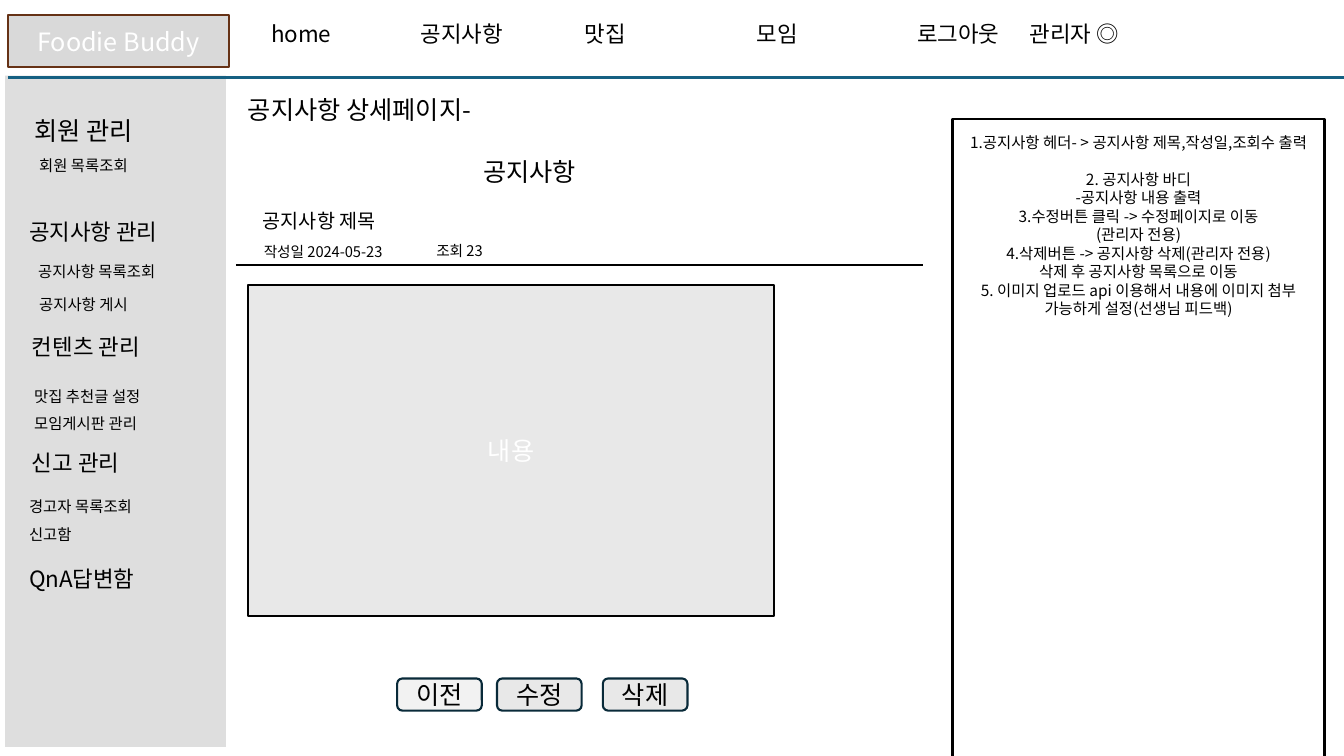
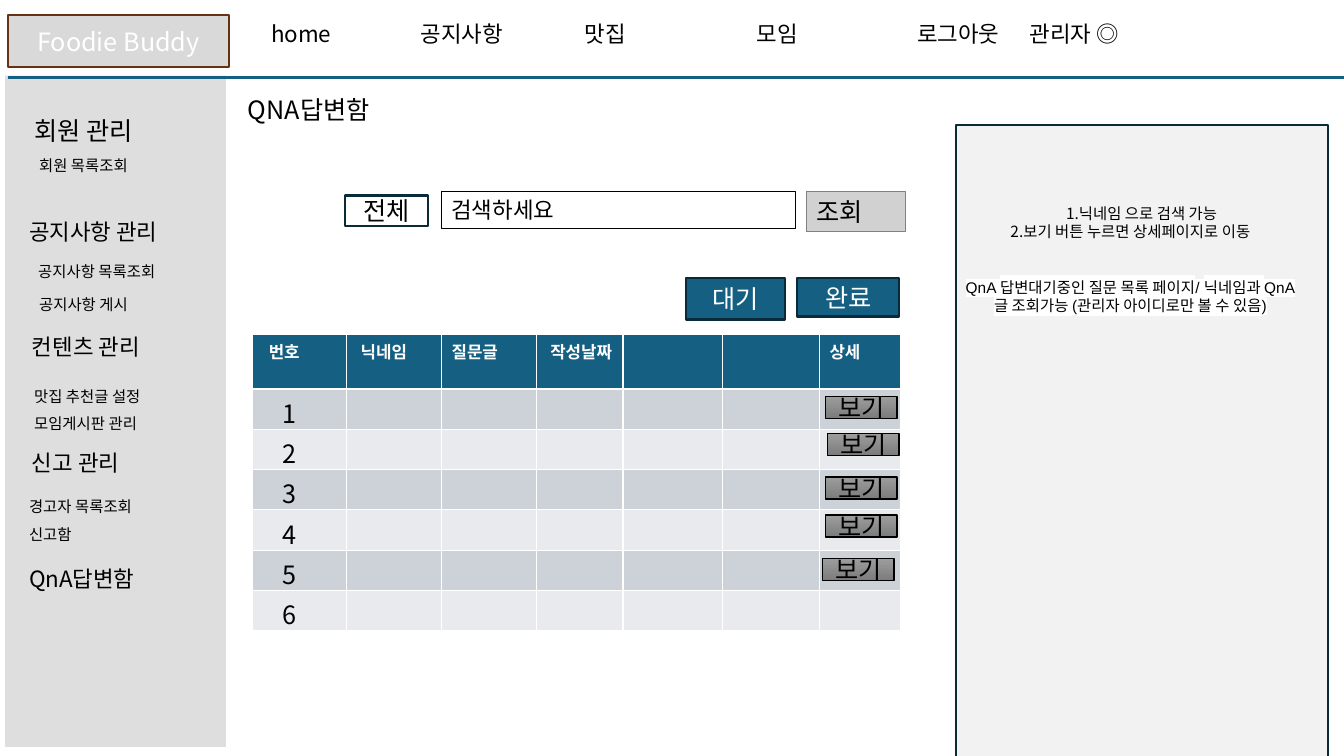
import pptx
import pptx.util
import pptx.dml.color
import pptx.enum.shapes
import pptx.enum.text
import pptx.oxml
import pptx.oxml.ns
import lxml.etree

Pt = pptx.util.Pt
RGBColor = pptx.dml.color.RGBColor
SHAPES = pptx.enum.shapes.MSO_SHAPE
ALIGN = pptx.enum.text.PP_ALIGN
ANCHOR = pptx.enum.text.MSO_ANCHOR
qn = pptx.oxml.ns.qn

FONT = "Noto Sans CJK KR"
BLACK = RGBColor(0x00, 0x00, 0x00)
WHITE = RGBColor(0xFF, 0xFF, 0xFF)
BLUE = RGBColor(0x15, 0x60, 0x82)
NAVY = RGBColor(0x09, 0x2A, 0x39)
BROWN = RGBColor(0x66, 0x32, 0x16)
SIDEBAR_GRAY = RGBColor(0xBF, 0xBF, 0xBF)
LOGO_GRAY = RGBColor(0xD9, 0xD9, 0xD9)
SEARCH_GRAY = RGBColor(0xD1, 0xD1, 0xD1)
BORDER_GRAY = RGBColor(0x80, 0x80, 0x80)
PALE_GRAY = RGBColor(0xF2, 0xF2, 0xF2)
LIGHT_GRAY = RGBColor(0xE8, 0xE8, 0xE8)
BAND_FILLS = (RGBColor(0xCC, 0xD2, 0xD8), RGBColor(0xE8, 0xEA, 0xED))
VIEW_GRADIENT = (RGBColor(0x9D, 0x9D, 0x9D), RGBColor(0x7C, 0x7C, 0x7C))

# left, text
NAVIGATION = [(186.5, "home"), (293.5, "공지사항"), (410.5, "맛집"),
              (533.5, "모임"), (648, "로그아웃"), (728.5, "관리자 ◎")]

# left, top, size, text
SIDEBAR = [
    (17.3, 78.5, 18, "회원 관리"),
    (20.9, 108, 11, "회원 목록조회"),
    (13.7, 152.6, 16, "공지사항 관리"),
    (20.2, 183.6, 11, "공지사항 목록조회"),
    (20.9, 207.4, 11, "공지사항 게시"),
    (15.8, 234.7, 16, "컨텐츠 관리"),
    (17.3, 272.9, 11, "맛집 추천글 설정"),
    (17.3, 292.3, 11, "모임게시판 관리"),
    (15.8, 317.5, 16, "신고 관리"),
    (13.7, 351.4, 11, "경고자 목록조회"),
    (13.7, 371.5, 11, "신고함"),
    (13.7, 400.3, 16, "QnA답변함"),
]

NOTICE_LABELS = [
    (338, 108, 18, "공지사항"),
    (180.7, 145.4, 14, "공지사항 제목"),
    (181.4, 169.9, 10.5, "작성일 2024-05-23"),
    (304.6, 169.2, 10.5, "조회 23"),
]
NOTICE_BUTTONS = [(283.7, PALE_GRAY, "이전"), (355, LIGHT_GRAY, "수정"),
                  (430.6, LIGHT_GRAY, "삭제")]
NOTICE_NOTES = [
    "1.공지사항 헤더- > 공지사항 제목,작성일,조회수 출력",
    "2. 공지사항 바디",
    "-공지사항 내용 출력",
    "3.수정버튼 클릭 -> 수정페이지로 이동",
    "(관리자 전용)",
    "4.삭제버튼 -> 공지사항 삭제(관리자 전용)",
    "삭제 후 공지사항 목록으로 이동",
    "5. 이미지 업로드 api 이용해서 내용에 이미지 첨부",
    "가능하게 설정(선생님 피드백)",
]

ANSWER_NOTES = ["1.닉네임 으로 검색 가능", "2.보기 버튼 누르면 상세페이지로 이동"]
ANSWER_SUMMARY = ("QnA 답변대기중인 질문 목록 페이지/ 닉네임과 QnA글 조회가능 "
                  "(관리자 아이디로만 볼 수 있음)")
# width, header, header indent
COLUMNS = [(67.7, "번호", 12), (67.7, "닉네임", 10), (67.7, "질문글", 7.2),
           (61.9, "작성날짜", 10), (71.3, "", 7.2), (69.1, "", 7.2),
           (58.3, "상세", 7.2)]
HEADER_HEIGHT, ROW_HEIGHT, ROW_COUNT = 38.9, 28.8, 6
VIEW_BUTTONS = [(589.7, 283), (591.1, 309.6), (589.7, 340.6), (589.7, 367.9),
                (587.5, 398.9)]


def write(frame, text, size=18, color=BLACK, bold=False, align=ALIGN.LEFT,
          anchor=ANCHOR.TOP, latin=FONT, highlight=None, before=0,
          right_indent=0, append=False):
    """Put one formatted paragraph in a text frame, after any text if append."""
    frame.word_wrap = True
    frame.vertical_anchor = anchor
    paragraph = frame.add_paragraph() if append else frame.paragraphs[0]
    paragraph.alignment = align
    paragraph.space_before = Pt(before)
    if right_indent:
        paragraph._p.get_or_add_pPr().set("marR", str(Pt(right_indent)))
    run = paragraph.add_run()
    run.text = text
    run.font.size = Pt(size)
    run.font.bold = bold
    run.font.color.rgb = color
    run.font.name = latin
    properties = run._r.get_or_add_rPr()
    east_asian = lxml.etree.Element(qn("a:ea"), typeface=FONT)
    properties.find(qn("a:latin")).addnext(east_asian)
    if highlight is not None:
        mark = lxml.etree.Element(qn("a:highlight"))
        lxml.etree.SubElement(mark, qn("a:srgbClr"), val=str(highlight))
        properties.find(qn("a:solidFill")).addnext(mark)


def add_label(slide, left, top, size, text, width=138):
    box = slide.shapes.add_textbox(Pt(left), Pt(top), Pt(width),
                                   Pt(1.2 * size + 7.2))
    write(box.text_frame, text, size=size)


def add_box(slide, left, top, width, height, fill=None, line=None,
            line_width=1.5, kind=SHAPES.RECTANGLE, text="", **text_format):
    shape = slide.shapes.add_shape(kind, Pt(left), Pt(top), Pt(width),
                                   Pt(height))
    shape.shadow.inherit = False
    if fill is None:
        shape.fill.background()
    else:
        shape.fill.solid()
        shape.fill.fore_color.rgb = fill
    if line is None:
        shape.line.fill.background()
    else:
        shape.line.color.rgb = line
        shape.line.width = Pt(line_width)
    if text:
        centred = {"align": ALIGN.CENTER, "anchor": ANCHOR.MIDDLE}
        write(shape.text_frame, text, **{**centred, **text_format})
    return shape


def add_rule(slide, left, right, top, color):
    rule = slide.shapes.add_connector(pptx.enum.shapes.MSO_CONNECTOR.STRAIGHT,
                                      Pt(left), Pt(top), Pt(right), Pt(top))
    rule.line.color.rgb = color
    rule.line.width = Pt(1.5)
    lxml.etree.SubElement(rule._element.spPr, qn("a:effectLst"))


def add_page(presentation, title):
    """Add a slide with the header, the sidebar and its title."""
    slide = presentation.slides.add_slide(presentation.slide_layouts[5])
    heading = slide.shapes.title
    heading.left, heading.top = Pt(169.9), Pt(63.4)
    heading.width, heading.height = Pt(244.8), Pt(28.8)
    write(heading.text_frame, title)
    for left, text in NAVIGATION:
        add_label(slide, left, 10.8, 16, text, width=110)
    add_box(slide, 5.8, 10.8, 157.7, 37.4, LOGO_GRAY, BROWN,
            text="Foodie Buddy", color=WHITE)
    sidebar = add_box(slide, 3.6, 54, 157.7, 479.5, SIDEBAR_GRAY)
    fill_color = sidebar._element.spPr.find(qn("a:solidFill"))[0]
    lxml.etree.SubElement(fill_color, qn("a:alpha"), val="50000")
    add_rule(slide, 5.8, 960, 55.4, BLUE)
    for label in SIDEBAR:
        add_label(slide, *label)
    return slide


def add_notes_panel(slide, left, top, fill, line, inset, notes):
    """Add the right-hand panel; notes are (text, format) pairs."""
    panel = add_box(slide, left, top, 265.7, 456.5, fill, line)
    panel.text_frame.margin_top = Pt(inset)
    for index, (text, text_format) in enumerate(notes):
        write(panel.text_frame, text, size=11, align=ALIGN.CENTER,
              append=index > 0, **text_format)


def build_notice_page(presentation):
    slide = add_page(presentation, "공지사항 상세페이지-")
    notes = [(text, {"before": 13.2 if index == 1 else 0})
             for index, text in enumerate(NOTICE_NOTES)]
    add_notes_panel(slide, 680.4, 85, WHITE, BLACK, 10, notes)
    for label in NOTICE_LABELS:
        add_label(slide, *label)
    add_rule(slide, 168.5, 659.5, 189.4, BLACK)
    add_box(slide, 177.1, 203.8, 375.8, 236.2, LIGHT_GRAY, BLACK,
            text="내용", color=WHITE)
    for left, fill, text in NOTICE_BUTTONS:
        add_box(slide, left, 484.6, 60.5, 23, fill, NAVY,
                kind=SHAPES.ROUNDED_RECTANGLE, text=text)


def add_question_table(slide):
    width = sum(column[0] for column in COLUMNS)
    table = slide.shapes.add_table(
        ROW_COUNT + 1, len(COLUMNS), Pt(180), Pt(238.9), Pt(width),
        Pt(HEADER_HEIGHT + ROW_COUNT * ROW_HEIGHT)).table
    for row_index, row in enumerate(table.rows):
        is_header = row_index == 0
        row.height = Pt(HEADER_HEIGHT if is_header else ROW_HEIGHT)
        for column_index, (width, header, indent) in enumerate(COLUMNS):
            table.columns[column_index].width = Pt(width)
            cell = row.cells[column_index]
            cell.margin_bottom = 0
            cell.fill.solid()
            cell.fill.fore_color.rgb = (
                BLUE if is_header else BAND_FILLS[(row_index - 1) % 2])
            if is_header and header:
                cell.margin_left = Pt(indent)
                write(cell.text_frame, header, size=12, color=WHITE, bold=True)
            elif not is_header and column_index == 0:
                cell.margin_left = Pt(21.5)
                write(cell.text_frame, str(row_index))


def build_answer_page(presentation):
    slide = add_page(presentation, "QNA답변함")
    add_question_table(slide)
    add_box(slide, 246.2, 139.7, 59.8, 21.6, WHITE, NAVY, text="전체")
    field = {"align": ALIGN.LEFT, "anchor": ANCHOR.TOP}
    add_box(slide, 315.4, 136.8, 252.7, 26.6, None, BLACK, 0.75,
            text="검색하세요", size=16, **field)
    add_box(slide, 576, 136.8, 70.6, 28.8, SEARCH_GRAY, BORDER_GRAY, 0.75,
            text="조회", **field)
    notes = [(ANSWER_NOTES[0], {}), (ANSWER_NOTES[1], {"right_indent": 16}),
             (ANSWER_SUMMARY, {"before": 26.4, "latin": "Arial",
                               "highlight": WHITE})]
    add_notes_panel(slide, 682.6, 89.3, PALE_GRAY, NAVY, 56.5, notes)
    add_box(slide, 490.3, 198.7, 70.6, 29.5, BLUE, NAVY, text="대기",
            color=WHITE)
    add_box(slide, 569.5, 198.7, 72.7, 27.4, BLUE, NAVY, text="완료",
            color=WHITE)
    for left, top in VIEW_BUTTONS:
        button = add_box(slide, left, top, 51.1, 15.8, None, BLACK, 1,
                         text="보기")
        button.fill.gradient()
        button.fill.gradient_angle = 270
        for stop, color in zip(button.fill.gradient_stops, VIEW_GRADIENT):
            stop.color.rgb = color


def main():
    presentation = pptx.Presentation()
    presentation.slide_width, presentation.slide_height = Pt(960), Pt(540)
    build_notice_page(presentation)
    build_answer_page(presentation)
    presentation.save("out.pptx")


if __name__ == "__main__":
    main()
